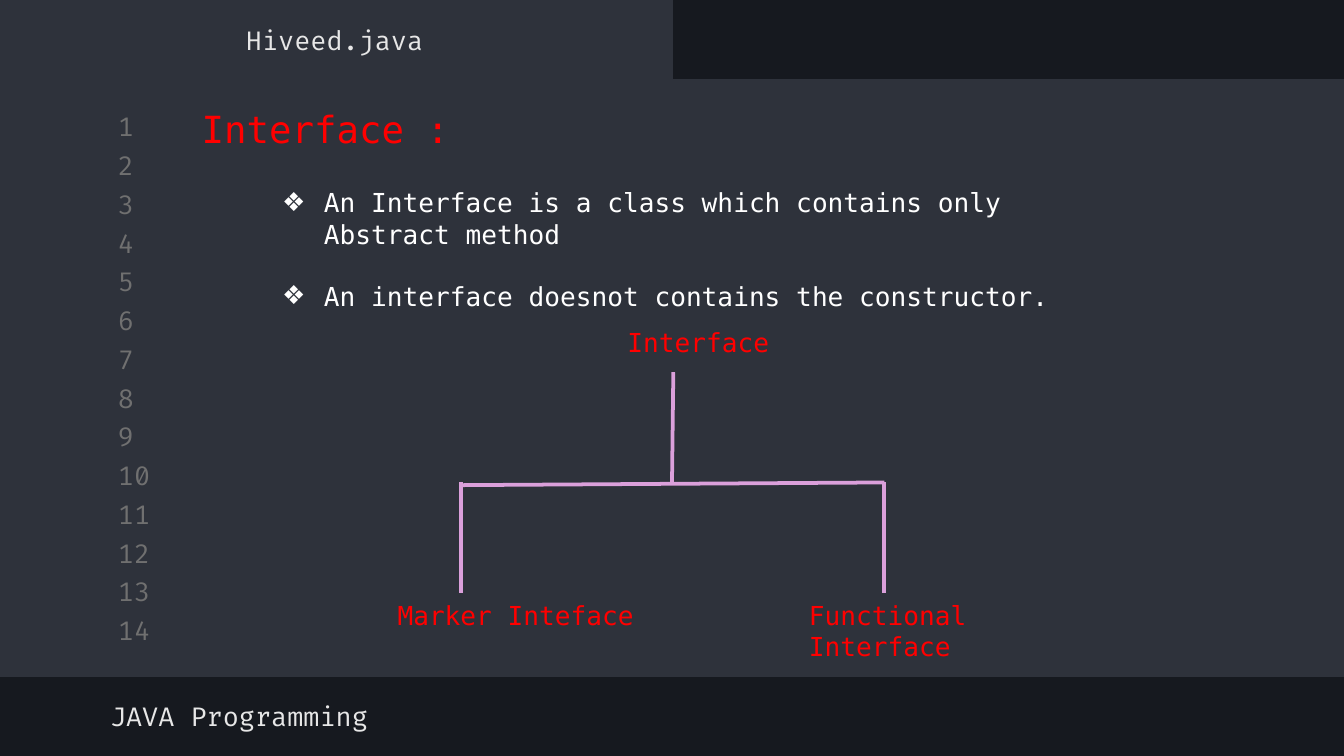
from lxml import etree
from pptx import Presentation
from pptx import util as u
from pptx.dml.color import RGBColor
from pptx.enum import shapes, text
from pptx.oxml.ns import qn

HUES = {
    "back": "16191F", "panel": "2E323B", "count": "707070",
    "pale": "E7E7E7", "red": "FF0000", "white": "FFFFFF", "tree": "DBA0DB",
}
CODE = "Fira Code"
MONO = "DejaVu Sans Mono"


def hue(name):
    return RGBColor.from_string(HUES[name])


class Deck:
    def __init__(self):
        self.prs = Presentation()
        self.prs.slide_width = u.Inches(10)
        self.prs.slide_height = u.Inches(10 * 9 / 16)
        self.slide = self.prs.slides.add_slide(self.prs.slide_layouts[1])
        fill = self.slide.background.fill
        fill.solid()
        fill.fore_color.rgb = hue("back")

    def panel(self, *box):
        rect = self.slide.shapes.add_shape(
            shapes.MSO_SHAPE.RECTANGLE, *map(u.Inches, box))
        rect.shadow.inherit = False
        rect.fill.solid()
        rect.fill.fore_color.rgb = hue("panel")
        rect.line.color.rgb = hue("panel")
        rect.line.width = u.Pt(0.75)

    def style(self, shape, lines, color, font=MONO, size=14, mid=False,
              align=text.PP_ALIGN.LEFT):
        frame = shape.text_frame
        frame.text = "\n".join(lines)
        frame.word_wrap = True
        frame.auto_size = text.MSO_AUTO_SIZE.NONE
        frame.vertical_anchor = (
            text.MSO_ANCHOR.MIDDLE if mid else text.MSO_ANCHOR.TOP)
        if mid:
            frame.margin_top = frame.margin_bottom = u.Inches(0.1)
        for para in frame.paragraphs:
            para.alignment = align
            para.space_before = u.Pt(0)
            for run in para.runs:
                run.font.name = font
                run.font.size = u.Pt(size)
                run.font.color.rgb = hue(color)

    def label(self, words, box, color, **look):
        shape = self.slide.shapes.add_textbox(*map(u.Inches, box))
        self.style(shape, [words], color, **look)

    def place(self, shape, box):
        """Move a placeholder to the box and in front of the panels."""
        shape.left, shape.top, shape.width, shape.height = map(u.Inches, box)
        self.slide.shapes._spTree.append(shape._element)

    def title(self, words, box):
        shape = self.slide.shapes.title
        self.place(shape, box)
        self.style(shape, [words], "red", size=20)

    def points(self, lines, box):
        shape = self.slide.placeholders[1]
        self.place(shape, box)
        self.style(shape, lines, "white")
        for i, para in enumerate(shape.text_frame.paragraphs):
            para.space_before = u.Pt(16.3 if i else 0)
            props = para._p.get_or_add_pPr()
            props.set("marL", str(u.Inches(0.31)))
            props.set("indent", str(u.Inches(-0.31)))
            tint = etree.SubElement(props, qn("a:buClr"))
            etree.SubElement(tint, qn("a:srgbClr"), val=HUES["white"])
            etree.SubElement(props, qn("a:buChar"), char="❖")

    def line(self, *ends):
        link = self.slide.shapes.add_connector(
            shapes.MSO_CONNECTOR.STRAIGHT, *map(u.Inches, ends))
        link.line.color.rgb = hue("tree")
        link.line.width = u.Pt(2)
        etree.SubElement(link._element.spPr, qn("a:effectLst"))


def main():
    deck = Deck()
    deck.panel(0, 0.59, 10, 4.44)
    deck.panel(0, 0, 5, 0.65)
    for i in range(14):
        deck.label(str(i + 1), (0.78, 0.82 + i * 3.75 / 13, 0.47, 0.24),
                   "count", font=CODE, mid=True)
    deck.label("JAVA Programming", (0.72, 5.13, 5.32, 0.39), "pale",
               font=CODE, mid=True)
    deck.label("Hiveed.java", (-0.01, 0.1, 5, 0.39), "pale",
               font=CODE, mid=True, align=text.PP_ALIGN.CENTER)

    deck.title("Interface :", (1.4, 0.74, 4.95, 0.44))
    deck.points(["An Interface is a class which contains only Abstract method",
                 "An interface doesnot contains the constructor."],
                (2, 1.34, 6.58, 0.81))

    left, right = 3.43, 6.58
    bar, foot = 3.59, 4.41
    deck.label("Interface", (4.57, 2.38, 1.29, 0.34), "red")
    deck.line(5.01, 2.77, 5, bar)
    deck.line(left, 3.61, right, bar)
    for x in (left, right):
        deck.line(x, bar, x, foot)
    deck.label("Marker Inteface", (2.86, foot, 2.03, 0.34), "red")
    deck.label("Functional Interface", (5.92, foot, 2.53, 0.34), "red")
    deck.prs.save("out.pptx")


if __name__ == "__main__":
    main()
